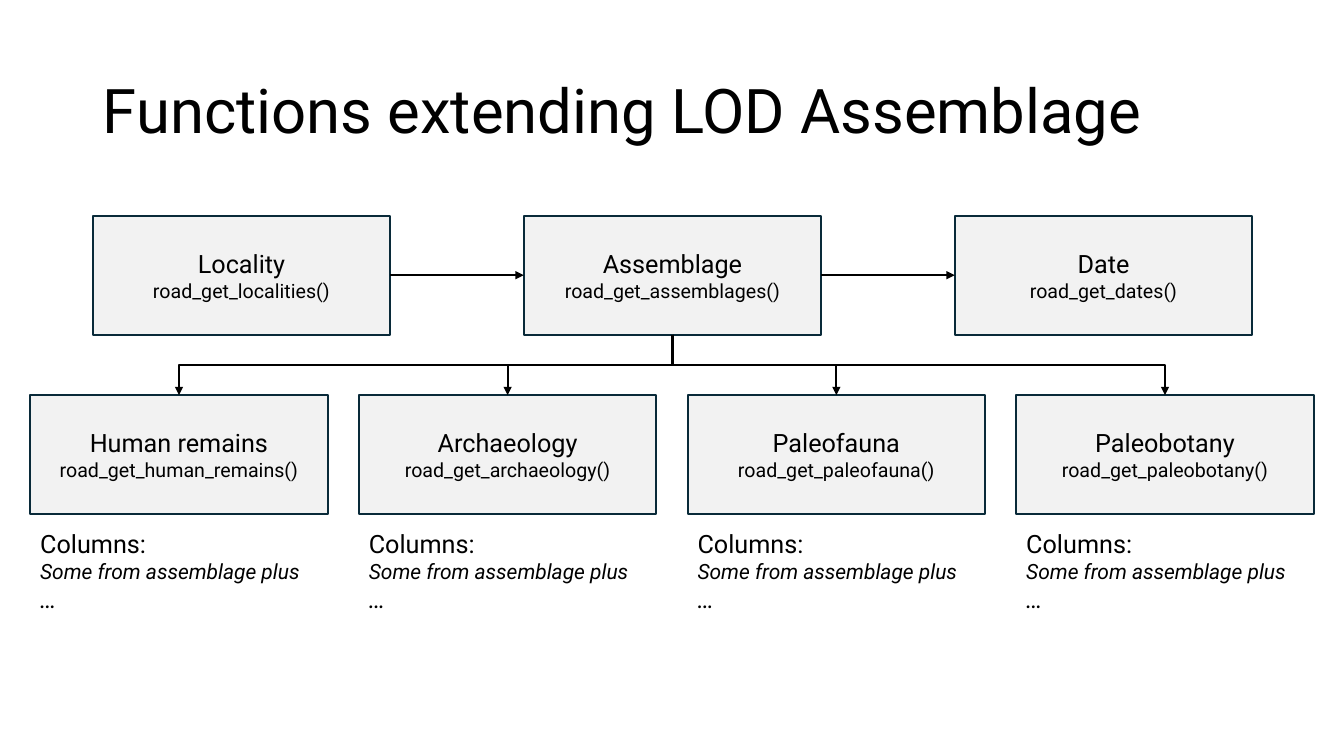
from lxml import etree
from pptx import Presentation, util as u
from pptx.dml.color import RGBColor
from pptx.enum import shapes, text
from pptx.oxml.ns import qn

# Content
TITLE = "Functions extending LOD Assemblage"
CHAIN = [
    ("Locality", "road_get_localities()"),
    ("Assemblage", "road_get_assemblages()"),
    ("Date", "road_get_dates()"),
]
EXTENSIONS = [
    ("Human remains", "road_get_human_remains()"),
    ("Archaeology", "road_get_archaeology()"),
    ("Paleofauna", "road_get_paleofauna()"),
    ("Paleobotany", "road_get_paleobotany()"),
]
COLUMN_NOTE = [("Columns:", 18, False), ("Some from assemblage plus", 15, True), ("…", 18, True)]

# Style
FONT = "Roboto"
COLORS = {"text": "000000", "box": "F2F2F2", "border": "092A39", "arrow": "000000"}

# Grid, in inches
WIDTH, HEIGHT = 13.33, 7.5
BOX_W, BOX_H = 2.95, 1.18
CHAIN_LEFT, CHAIN_TOP, CHAIN_STEP = 0.92, 2.14, 4.275
EXT_LEFT, EXT_TOP, EXT_STEP = 0.3, 3.92, 3.26
NOTE_TOP, NOTE_H = 5.19, 0.96
TOP, LEFT, BOTTOM, RIGHT = range(4)  # connection sites of a rectangle


def color(key):
    return RGBColor.from_string(COLORS[key])


def style(run, size, italic=False):
    run.font.name, run.font.size, run.font.italic = FONT, u.Pt(size), italic
    run.font.color.rgb = color("text")


def add_box(slide, left, top, label, function):
    box = slide.shapes.add_shape(shapes.MSO_SHAPE.RECTANGLE, *map(u.Inches, (left, top, BOX_W, BOX_H)))
    box.shadow.inherit = False
    box.fill.solid()
    box.fill.fore_color.rgb = color("box")
    box.line.color.rgb = color("border")
    box.line.width = u.Pt(1.5)
    box.text_frame.vertical_anchor = text.MSO_ANCHOR.MIDDLE
    paragraph = box.text_frame.paragraphs[0]
    paragraph.text = f"{label}\v{function}"
    paragraph.alignment = text.PP_ALIGN.CENTER
    for run, size in zip(paragraph.runs, (18, 14)):
        style(run, size)
    return box


def add_arrow(slide, kind, start, start_site, end, end_site):
    arrow = slide.shapes.add_connector(kind, 0, 0, 0, 0)
    arrow.begin_connect(start, start_site)
    arrow.end_connect(end, end_site)
    arrow.line.color.rgb = color("arrow")
    arrow.line.width = u.Pt(1.5)
    etree.SubElement(arrow.line._get_or_add_ln(), qn("a:tailEnd"), type="triangle")
    etree.SubElement(arrow._element.spPr, qn("a:effectLst"))
    return arrow


def turn_downward(arrow):
    """Rotate an elbow so that it leaves and arrives vertically."""
    to_right = arrow.end_x > arrow.begin_x
    left, top, width, height = arrow.left, arrow.top, arrow.width, arrow.height
    arrow.left, arrow.top = left + (width - height) // 2, top + (height - width) // 2
    arrow.width, arrow.height = height, width
    xfrm = arrow._element.spPr.find(qn("a:xfrm"))
    xfrm.set("rot", str((270 if to_right else 90) * 60000))
    xfrm.set("flipH", "1" if to_right else "0")


def add_note(slide, left):
    note = slide.shapes.add_textbox(*map(u.Inches, (left, NOTE_TOP, BOX_W, NOTE_H)))
    frame = note.text_frame
    frame.word_wrap = True
    frame.auto_size = text.MSO_AUTO_SIZE.SHAPE_TO_FIT_TEXT
    frame.text = "\n".join(line for line, _, _ in COLUMN_NOTE)
    for paragraph, (_, size, italic) in zip(frame.paragraphs, COLUMN_NOTE):
        style(paragraph.runs[0], size, italic)


def main():
    prs = Presentation()
    prs.slide_width, prs.slide_height = u.Inches(WIDTH), u.Inches(HEIGHT)
    slide = prs.slides.add_slide(prs.slide_layouts[5])

    # Title
    title = slide.shapes.title
    title.left, title.top, title.width, title.height = map(u.Inches, (0.92, 0.4, 11.5, 1.45))
    title.text_frame.text = TITLE
    title.text_frame.auto_size = text.MSO_AUTO_SIZE.NONE
    title.text_frame.vertical_anchor = text.MSO_ANCHOR.MIDDLE
    heading = title.text_frame.paragraphs[0]
    heading.alignment, heading.line_spacing = text.PP_ALIGN.LEFT, 0.9
    style(heading.runs[0], 44)

    # Chain from locality to date
    chain = [add_box(slide, CHAIN_LEFT + i * CHAIN_STEP, CHAIN_TOP, *entry)
             for i, entry in enumerate(CHAIN)]
    for start, end in zip(chain, chain[1:]):
        add_arrow(slide, shapes.MSO_CONNECTOR.STRAIGHT, start, RIGHT, end, LEFT)

    # Extensions of the assemblage, each with its column note
    assemblage = chain[1]
    for i, entry in enumerate(EXTENSIONS):
        left = EXT_LEFT + i * EXT_STEP
        extension = add_box(slide, left, EXT_TOP, *entry)
        turn_downward(add_arrow(slide, shapes.MSO_CONNECTOR.ELBOW, assemblage, BOTTOM, extension, TOP))
        add_note(slide, left)

    prs.save("out.pptx")


if __name__ == "__main__":
    main()
